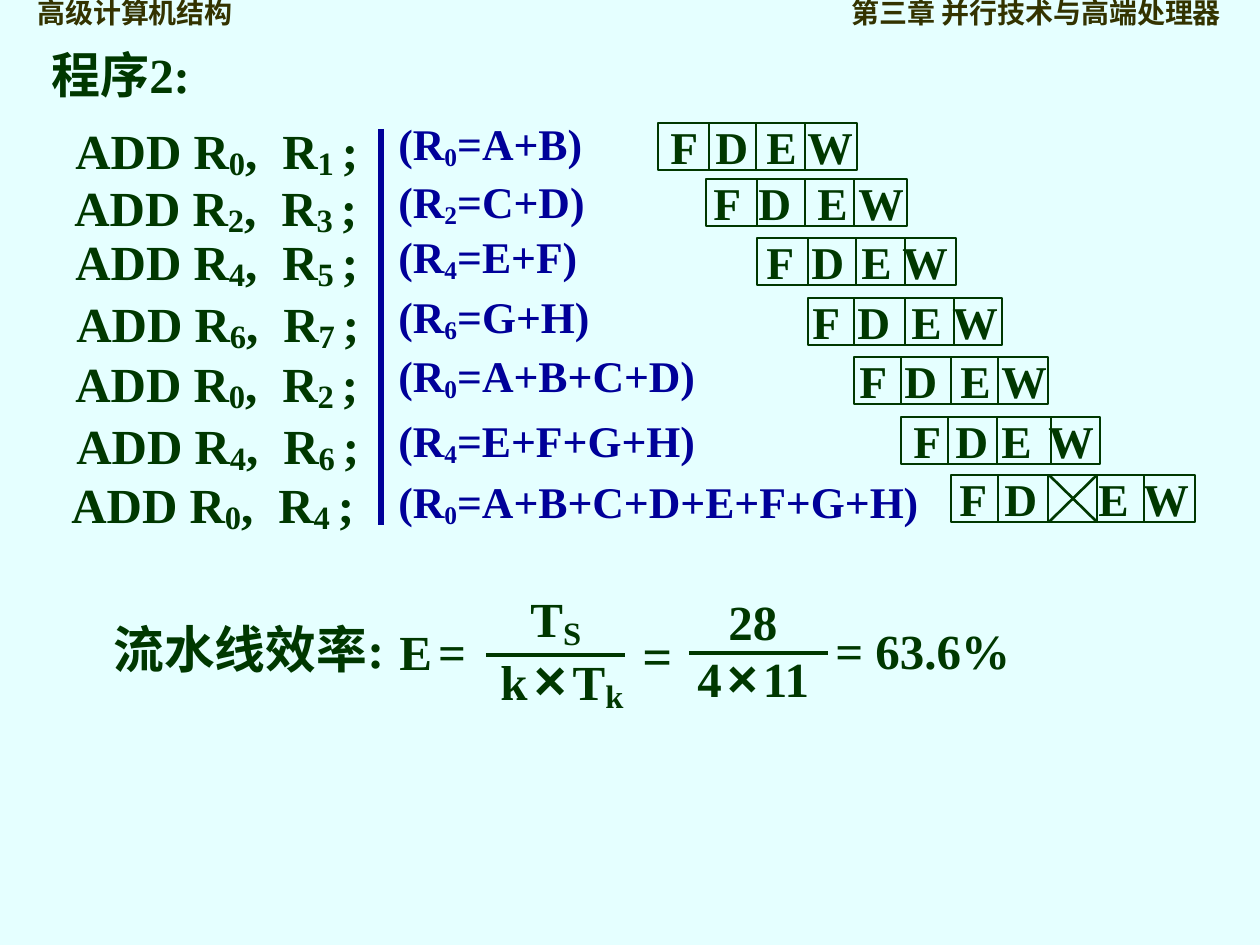
import pptx
import pptx.dml.color
import pptx.enum.shapes
import pptx.enum.text
import pptx.oxml.ns
import pptx.util
from lxml import etree

PX = 914400 // 126
GREEN, BLUE, BROWN, BACKGROUND = "003800", "000099", "333300", "E5FFFF"
SERIF, CJK, SANS = "Times New Roman", "Noto Sans CJK JP", "Arial"

HEADER = ("高级计算机结构", "第三章 并行技术与高端处理器")

# left, top, first register, second register
INSTRUCTIONS = [
    (63, 107, "0", "1"), (62, 164, "2", "3"), (63, 218, "4", "5"),
    (64, 280, "6", "7"), (63, 340, "0", "2"), (64, 402, "4", "6"),
    (59, 461, "0", "4"),
]
# top, width, register, value
RESULTS = [
    (111, 220, "0", "A+B"), (169, 258, "2", "C+D"), (224, 258, "4", "E+F"),
    (284, 258, "6", "G+H"), (343, 335, "0", "A+B+C+D"),
    (408, 367, "4", "E+F+G+H"), (469, 558, "0", "A+B+C+D+E+F+G+H"),
]
STAGES = "FDEW"
STAGE_HEIGHT = 47
# top, cell edges, left of each stage letter
PIPELINES = [
    (123, (658, 709, 756, 805, 857), (671, 716, 767, 808)),
    (179, (706, 757, 805, 854, 907), (714, 759, 818, 859)),
    (238, (757, 808, 856, 905, 956), (767, 812, 862, 903)),
    (298, (808, 854, 905, 954, 1002), (813, 858, 912, 953)),
    (357, (854, 901, 951, 998, 1048), (860, 905, 961, 1002)),
    (417, (901, 948, 997, 1051, 1100), (914, 956, 1002, 1049)),
    (475, (951, 998, 1048, 1097, 1144, 1195), (960, 1005, 1099, 1144)),
]
STALL = (1049, 1097)

# left, top, width, height, runs of (text, size, font, baseline)
LABELS = [
    (39, 38, 195, 72, [("程序2:", 28)]),
    (101, 612, 316, 74, [("流水线效率:", 29)]),
    (387, 615, 113, 72, [("E", 28), (" ", 14), ("=", 28)]),
    (518, 575, 122, 83, [("T", 28), ("S", 32, SERIF, -14)]),
    (488, 638, 186, 83, [("k", 28), (" ", 14), ("×", 32, SANS), (" ", 14),
                         ("T", 28), ("k", 32, SERIF, -14)]),
    (630, 617, 60, 76, [("=", 30)]),
    (716, 585, 135, 72, [("28", 28)]),
    (685, 639, 146, 135, [("4", 28), (" ", 12), ("×", 30, SANS), (" ", 12),
                          ("11", 28)]),
    (823, 614, 284, 72, [("= 63.6%", 28)]),
]
FRACTION_BARS = [(486, 655, 625), (689, 653, 828)]

deck = pptx.Presentation()
deck.slide_width = 1260 * PX
deck.slide_height = 945 * PX
page = deck.slides.add_slide(deck.slide_layouts[6])


def color(code):
    return pptx.dml.color.RGBColor.from_string(code)


def add_text(left, top, width, height, runs, ink=GREEN, tabs=()):
    """Add a one-paragraph box; tabs are (position, alignment) pairs."""
    box = page.shapes.add_textbox(left * PX, top * PX, width * PX, height * PX)
    box.text_frame.word_wrap = True
    para = box.text_frame.paragraphs[0]
    if tabs:
        properties = para._p.get_or_add_pPr()
        tab_list = etree.SubElement(properties, pptx.oxml.ns.qn("a:tabLst"))
        for position, side in tabs:
            etree.SubElement(tab_list, pptx.oxml.ns.qn("a:tab"),
                             pos=str(position * PX), algn=side)
    for text, size, *style in runs:
        font, baseline = (style + [SERIF, 0][len(style):])
        span = para.add_run()
        span.text = text
        span.font.size = pptx.util.Pt(size)
        span.font.bold = True
        span.font.name = font
        span.font.color.rgb = color(ink)
        properties = span._r.get_or_add_rPr()
        etree.SubElement(properties, pptx.oxml.ns.qn("a:ea"),
                         typeface=CJK if font == SERIF else font)
        if baseline:
            properties.set("baseline", str(baseline * 1000))
    return para


def add_line(x1, y1, x2, y2, weight=1.5, ink=GREEN):
    line = page.shapes.add_connector(
        pptx.enum.shapes.MSO_CONNECTOR.STRAIGHT,
        x1 * PX, y1 * PX, x2 * PX, y2 * PX)
    line.line.color.rgb = color(ink)
    line.line.width = pptx.util.Pt(weight)
    etree.SubElement(line._element.spPr, pptx.oxml.ns.qn("a:effectLst"))


def add_pipeline(top, edges, letters):
    left, *dividers, right = edges
    frame = page.shapes.add_shape(
        pptx.enum.shapes.MSO_SHAPE.RECTANGLE,
        left * PX, top * PX, (right - left) * PX, STAGE_HEIGHT * PX)
    frame.shadow.inherit = False
    frame.fill.background()
    frame.line.color.rgb = color(GREEN)
    frame.line.width = pptx.util.Pt(1.5)
    for x in dividers:
        add_line(x, top, x, top + STAGE_HEIGHT)
    start = letters[0]
    add_text(start - 13, top - 10, letters[-1] - start + 90, 68,
             [("\t".join(STAGES), 26)],
             tabs=[(x - start, "l") for x in letters[1:]])


page.background.fill.solid()
page.background.fill.fore_color.rgb = color(BACKGROUND)

header = add_text(25, 0, 1237, 35, [("\t".join(HEADER), 16, CJK)], BROWN,
                  tabs=[(1184, "r")])
header.line_spacing = 0.65

for left, top, first, second in INSTRUCTIONS:
    add_text(left, top, 325, 82,
             [("ADD R", 28), (first, 32, SERIF, -12), (",\tR", 28),
              (second + " ", 32, SERIF, -12), (";", 28)],
             tabs=[(207, "l")])

add_line(381, 129, 381, 525, 3, BLUE)
for top, width, register, value in RESULTS:
    add_text(386, top, width, 67,
             [("(R", 25), (register, 25, SERIF, -12), (f"={value})", 25)], BLUE)

for pipeline in PIPELINES:
    add_pipeline(*pipeline)
stall_top = PIPELINES[-1][0]
stall_bottom = stall_top + STAGE_HEIGHT
add_line(STALL[0], stall_bottom, STALL[1], stall_top)
add_line(STALL[0], stall_top, STALL[1], stall_bottom)

for label in LABELS:
    add_text(*label)
for left, y, right in FRACTION_BARS:
    add_line(left, y, right, y, 2)

deck.save("out.pptx")
